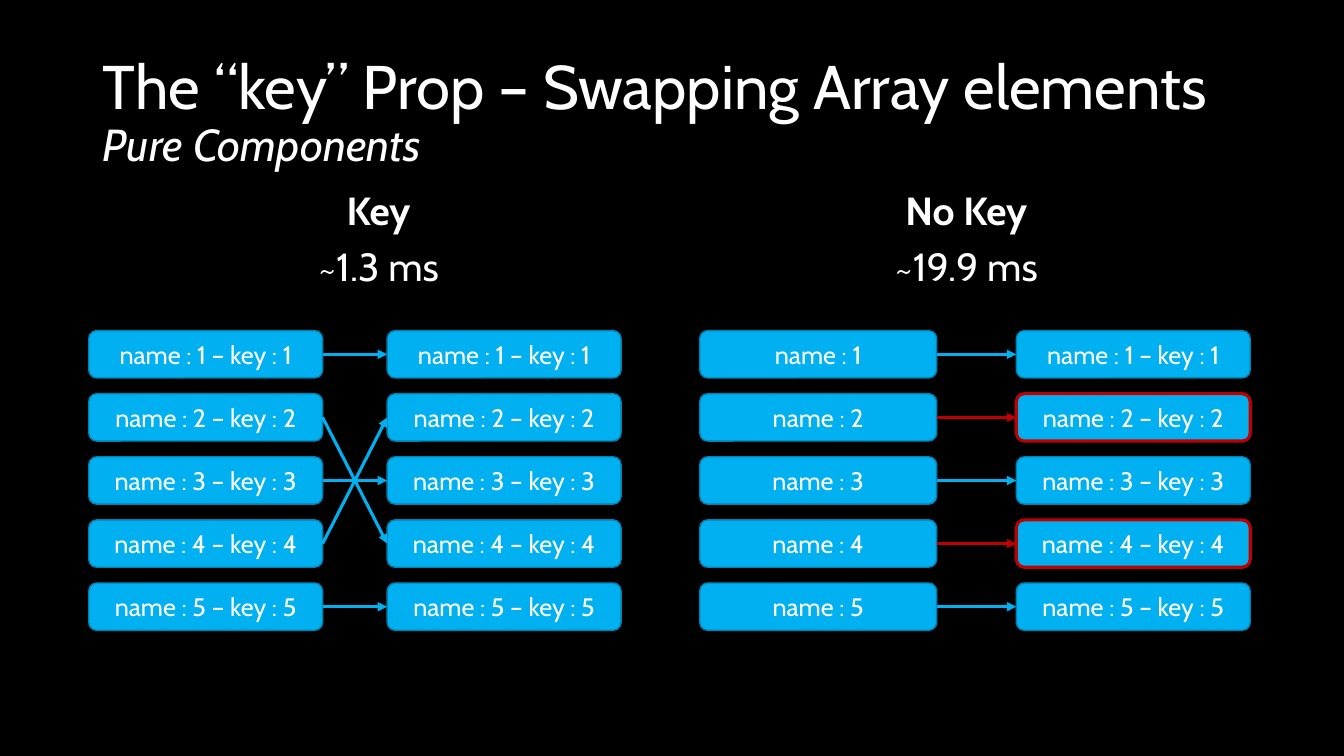
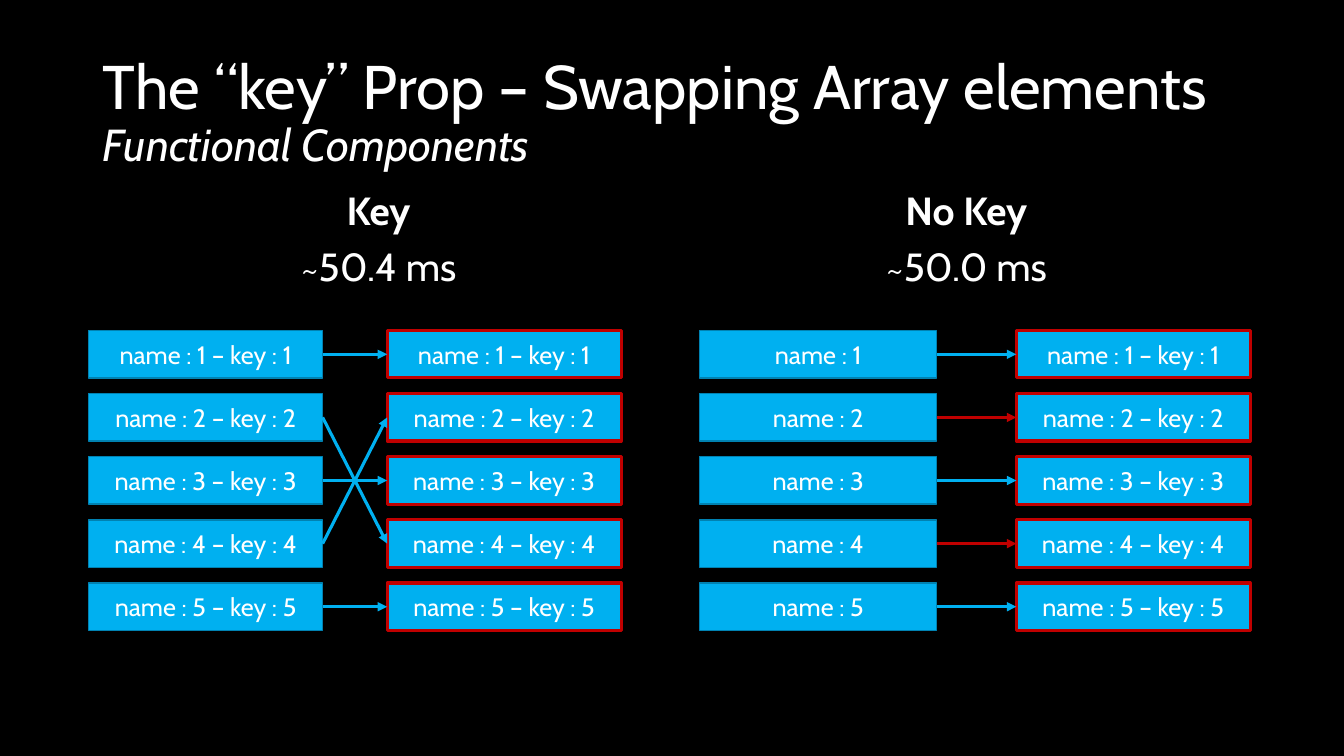
from pptx import Presentation
from pptx import util as u
from pptx.dml.color import RGBColor
from pptx.enum import shapes, text
from pptx.oxml import ns
from lxml import etree

COLORS = {
    "background": "000000",
    "text": "FFFFFF",
    "element": "00B0F0",
    "outline": "0082B2",
    "rerender": "C00000",
}
FONT = "Cabin"
TITLE = "The “key” Prop – Swapping Array elements"
TITLE_BOX = (0.92, 0.4, 11.88, 1.45)
HEADING_TOP, HEADING_WIDTH, HEADING_HEIGHT = 1.85, 5.67, 4.55
ROWS = range(1, 6)
ROW_TOP, ROW_PITCH, ROW_HEIGHT = 3.28, 0.626, 0.47
KEYED = [f"name : {row} – key : {row}" for row in ROWS]
UNKEYED = [f"name : {row}" for row in ROWS]
KEY_TARGETS = (1, 4, 3, 2, 5)
NO_KEY_TARGETS = tuple(ROWS)
ALL_ROWS = set(ROWS)
SWAPPED = {2, 4}


def color(name):
    return RGBColor.from_string(COLORS[name])


def inches(*lengths):
    return [u.Inches(length) for length in lengths]


def style_run(run, size, bold=None, italic=None):
    run.font.name = FONT
    run.font.size = u.Pt(size)
    run.font.bold = bold
    run.font.italic = italic
    run.font.color.rgb = color("text")


def add_title(slide, subtitle):
    title = slide.shapes.title
    title.left, title.top, title.width, title.height = inches(*TITLE_BOX)
    frame = title.text_frame
    frame.text = f"{TITLE}\v{subtitle}"
    frame.auto_size = text.MSO_AUTO_SIZE.NONE
    frame.vertical_anchor = text.MSO_ANCHOR.MIDDLE
    line = frame.paragraphs[0]
    line.alignment = text.PP_ALIGN.LEFT
    line.line_spacing = 0.9
    topic, component_type = line.runs
    style_run(topic, 44)
    style_run(component_type, 32, italic=True)


def add_heading(slide, left, label, timing):
    heading = slide.shapes.add_textbox(
        *inches(left, HEADING_TOP, HEADING_WIDTH, HEADING_HEIGHT))
    frame = heading.text_frame
    frame.word_wrap = True
    frame.text = f"{label}\n{timing}"
    for line, bold in zip(frame.paragraphs, (True, False)):
        line.alignment = text.PP_ALIGN.CENTER
        line.line_spacing = 0.9
        line.space_before = u.Pt(10)
        style_run(line.runs[0], 28, bold=bold)


def add_element(slide, outline, box, label, rerendered):
    element = slide.shapes.add_shape(outline, *inches(*box))
    element.shadow.inherit = False
    element.fill.solid()
    element.fill.fore_color.rgb = color("element")
    element.line.color.rgb = color("rerender" if rerendered else "outline")
    element.line.width = u.Pt(2.25 if rerendered else 1)
    frame = element.text_frame
    frame.text = label
    frame.vertical_anchor = text.MSO_ANCHOR.MIDDLE
    frame.paragraphs[0].alignment = text.PP_ALIGN.CENTER
    style_run(frame.paragraphs[0].runs[0], 18)
    return element


def add_column(slide, outline, left, width, labels, rerendered=()):
    return [
        add_element(slide, outline,
                    (left, ROW_TOP + (row - 1) * ROW_PITCH, width, ROW_HEIGHT),
                    label, row in rerendered)
        for row, label in zip(ROWS, labels)
    ]


def add_arrow(slide, before, after, color_name):
    arrow = slide.shapes.add_connector(
        shapes.MSO_CONNECTOR.STRAIGHT, 0, 0, 0, 0)
    arrow.begin_connect(before, 3)
    arrow.end_connect(after, 1)
    arrow.line.color.rgb = color(color_name)
    arrow.line.width = u.Pt(2.25)
    properties = arrow.element.spPr
    stroke = properties.find(ns.qn("a:ln"))
    etree.SubElement(stroke, ns.qn("a:tailEnd"), type="triangle")
    etree.SubElement(properties, ns.qn("a:effectLst"))


def add_swap(slide, outline, before_box, after_box, labels, targets,
             rerendered, changed=()):
    before = add_column(slide, outline, *before_box, labels)
    after = add_column(slide, outline, *after_box, KEYED, rerendered)
    for row, target in zip(ROWS, targets):
        add_arrow(slide, before[row - 1], after[target - 1],
                  "rerender" if row in changed else "element")


def add_comparison(deck, subtitle, outline, key_time, no_key_time,
                   key_rerenders, no_key_rerenders):
    slide = deck.slides.add_slide(deck.slide_layouts[5])
    add_title(slide, subtitle)
    add_heading(slide, 0.92, "Key", key_time)
    add_heading(slide, 6.75, "No Key", no_key_time)
    add_swap(slide, outline, (0.88, 2.32), (3.84, 2.32), KEYED,
             KEY_TARGETS, key_rerenders)
    add_swap(slide, outline, (6.94, 2.35), (10.08, 2.32), UNKEYED,
             NO_KEY_TARGETS, no_key_rerenders, SWAPPED)


deck = Presentation()
deck.slide_width, deck.slide_height = inches(13.33, 7.5)
backdrop = deck.slide_master.background.fill
backdrop.solid()
backdrop.fore_color.rgb = color("background")
add_comparison(deck, "Pure Components", shapes.MSO_SHAPE.ROUNDED_RECTANGLE,
               "~1.3 ms", "~19.9 ms", set(), SWAPPED)
add_comparison(deck, "Functional Components", shapes.MSO_SHAPE.RECTANGLE,
               "~50.4 ms", "~50.0 ms", ALL_ROWS, ALL_ROWS)
deck.save("out.pptx")
